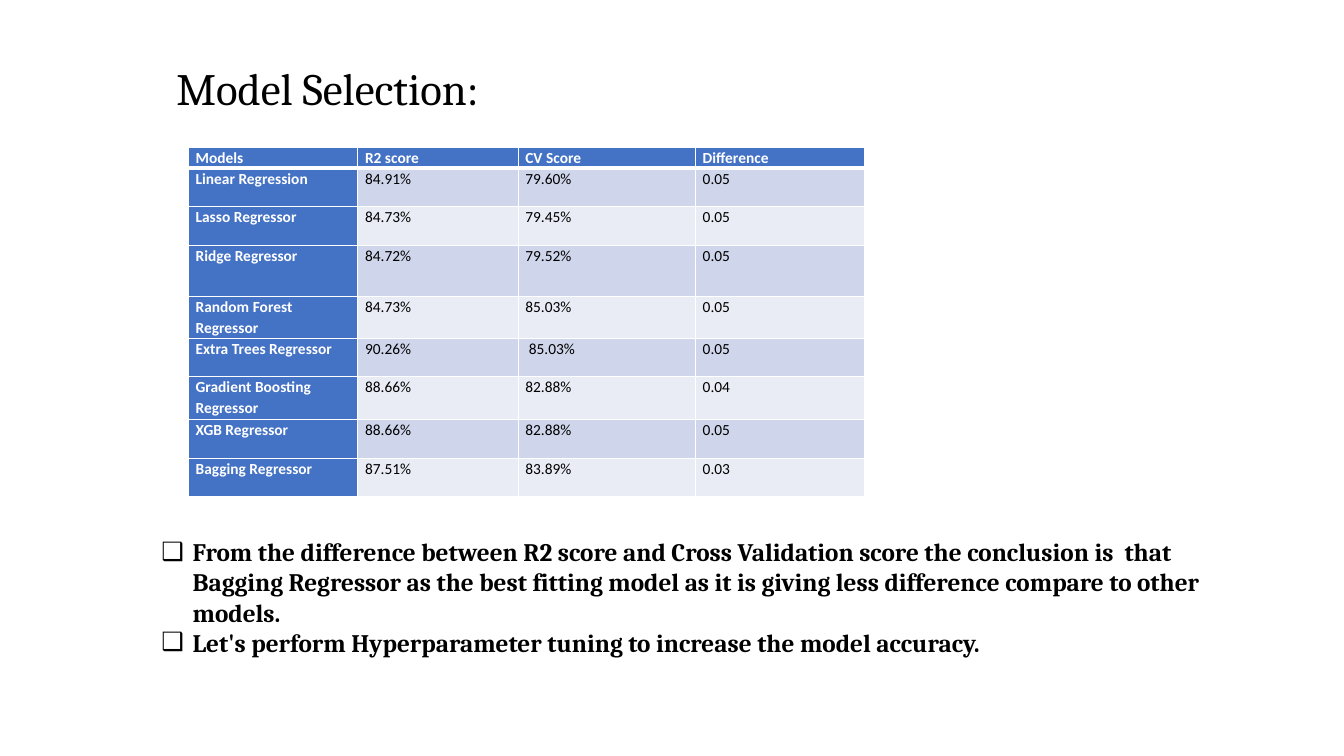
from lxml.etree import SubElement
from pptx import Presentation
from pptx.dml.color import RGBColor
from pptx.enum.text import MSO_ANCHOR as Anchor, MSO_AUTO_SIZE as AutoSize, PP_ALIGN as Align
from pptx.oxml.ns import qn
from pptx.util import Cm, Pt

BLACK = RGBColor(0x00, 0x00, 0x00)
WHITE = RGBColor(0xFF, 0xFF, 0xFF)
BLUE = RGBColor(0x44, 0x72, 0xC4)
BAND_DARK = RGBColor(0xCF, 0xD5, 0xEA)
BAND_LIGHT = RGBColor(0xE9, 0xEB, 0xF5)

TITLE_FONT = {"name": "Cambria", "size": Pt(32), "bold": False}
BULLET_FONT = {"name": "Cambria", "size": Pt(18), "bold": True}
HEADING_FONT = {"name": "Calibri", "size": Pt(11), "bold": True}
VALUE_FONT = {"name": "Calibri", "size": Pt(11), "bold": False}
FRAME = {"word_wrap": True, "auto_size": AutoSize.NONE, "vertical_anchor": Anchor.TOP}
CELL_MARGINS = {"margin_left": Cm(0.18), "margin_right": Cm(0.18),
                "margin_top": 0, "margin_bottom": 0}

SCORES = [
    ("Models", "R2 score", "CV Score", "Difference"),
    ("Linear Regression", "84.91%", "79.60%", "0.05"),
    ("Lasso Regressor", "84.73%", "79.45%", "0.05"),
    ("Ridge Regressor", "84.72%", "79.52%", "0.05"),
    ("Random Forest Regressor", "84.73%", "85.03%", "0.05"),
    ("Extra Trees Regressor", "90.26%", " 85.03%", "0.05"),
    ("Gradient Boosting Regressor", "88.66%", "82.88%", "0.04"),
    ("XGB Regressor", "88.66%", "82.88%", "0.05"),
    ("Bagging Regressor", "87.51%", "83.89%", "0.03"),
]
COLUMN_WIDTHS = (4.27, 4.04, 4.47, 4.27)
ROW_HEIGHTS = (0.53, 0.97, 0.97, 1.3, 1.04, 0.97, 1.09, 0.97, 0.97)

CONCLUSIONS = [
    "From the difference between R2 score and Cross Validation score the conclusion is  that "
    "Bagging Regressor as the best fitting model as it is giving less difference compare to "
    "other models.",
    "Let's perform Hyperparameter tuning to increase the model accuracy.",
]


def set_values(target, values):
    for name, value in values.items():
        setattr(target, name, value)


def set_font(paragraph, values, color):
    set_values(paragraph.font, values)
    paragraph.font.color.rgb = color


def place(shape, box):
    set_values(shape, dict(zip(("left", "top", "width", "height"), map(Cm, box))))
    set_values(shape.text_frame, FRAME)


def add_bullet(paragraph, character):
    properties = paragraph._p.get_or_add_pPr()
    properties.set("marL", str(Cm(0.79)))
    properties.set("indent", str(-Cm(0.79)))
    SubElement(properties, qn("a:buChar"), char=character)


def set_borders(cell, is_header):
    properties = cell._tc.get_or_add_tcPr()
    for position, side in enumerate(("lnL", "lnR", "lnT", "lnB")):
        width = Pt(3) if is_header and side == "lnB" else Pt(1)
        line = properties.makeelement(qn(f"a:{side}"), {"w": str(width)})
        properties.insert(position, line)
        fill = SubElement(line, qn("a:solidFill"))
        SubElement(fill, qn("a:srgbClr"), val=str(WHITE))


def build_title(slide, box):
    title = slide.shapes.title
    place(title, box)
    title.text_frame.text = "Model Selection:"
    paragraph = title.text_frame.paragraphs[0]
    set_values(paragraph, {"alignment": Align.LEFT, "line_spacing": 1.07, "space_after": Pt(8)})
    set_font(paragraph, TITLE_FONT, BLACK)


def build_scores(slide, left, top):
    frame = slide.shapes.add_table(len(SCORES), len(COLUMN_WIDTHS), Cm(left), Cm(top),
                                   Cm(sum(COLUMN_WIDTHS)), Cm(sum(ROW_HEIGHTS)))
    table = frame.table
    table.first_col = True
    for column, width in zip(table.columns, COLUMN_WIDTHS):
        column.width = Cm(width)
    for row, height in zip(table.rows, ROW_HEIGHTS):
        row.height = Cm(height)

    for row_index, texts in enumerate(SCORES):
        band = BAND_DARK if row_index % 2 else BAND_LIGHT
        for column_index, text in enumerate(texts):
            is_heading = row_index == 0 or column_index == 0
            cell = table.cell(row_index, column_index)
            set_values(cell, CELL_MARGINS)
            cell.text = text
            cell.fill.solid()
            cell.fill.fore_color.rgb = BLUE if is_heading else band
            set_borders(cell, row_index == 0)
            paragraph = cell.text_frame.paragraphs[0]
            paragraph.line_spacing = 1.07
            set_font(paragraph, HEADING_FONT if is_heading else VALUE_FONT,
                     WHITE if is_heading else BLACK)


def build_conclusions(slide, box):
    body = slide.placeholders[1]
    place(body, box)
    body.text_frame.text = "\n".join(CONCLUSIONS)
    for paragraph in body.text_frame.paragraphs:
        paragraph.space_before = Pt(0)
        add_bullet(paragraph, "❑")
        set_font(paragraph, BULLET_FONT, BLACK)


def main():
    presentation = Presentation()
    presentation.slide_width = Cm(33.87)
    presentation.slide_height = Cm(19.05)
    slide = presentation.slides.add_slide(presentation.slide_layouts[1])

    # Heading
    build_title(slide, (4.19, 1.32, 28.04, 1.63))
    # Closing bullets
    build_conclusions(slide, (3.81, 13.39, 28.04, 4.11))
    # Model comparison
    build_scores(slide, 4.75, 3.71)

    presentation.save("out.pptx")


if __name__ == "__main__":
    main()
